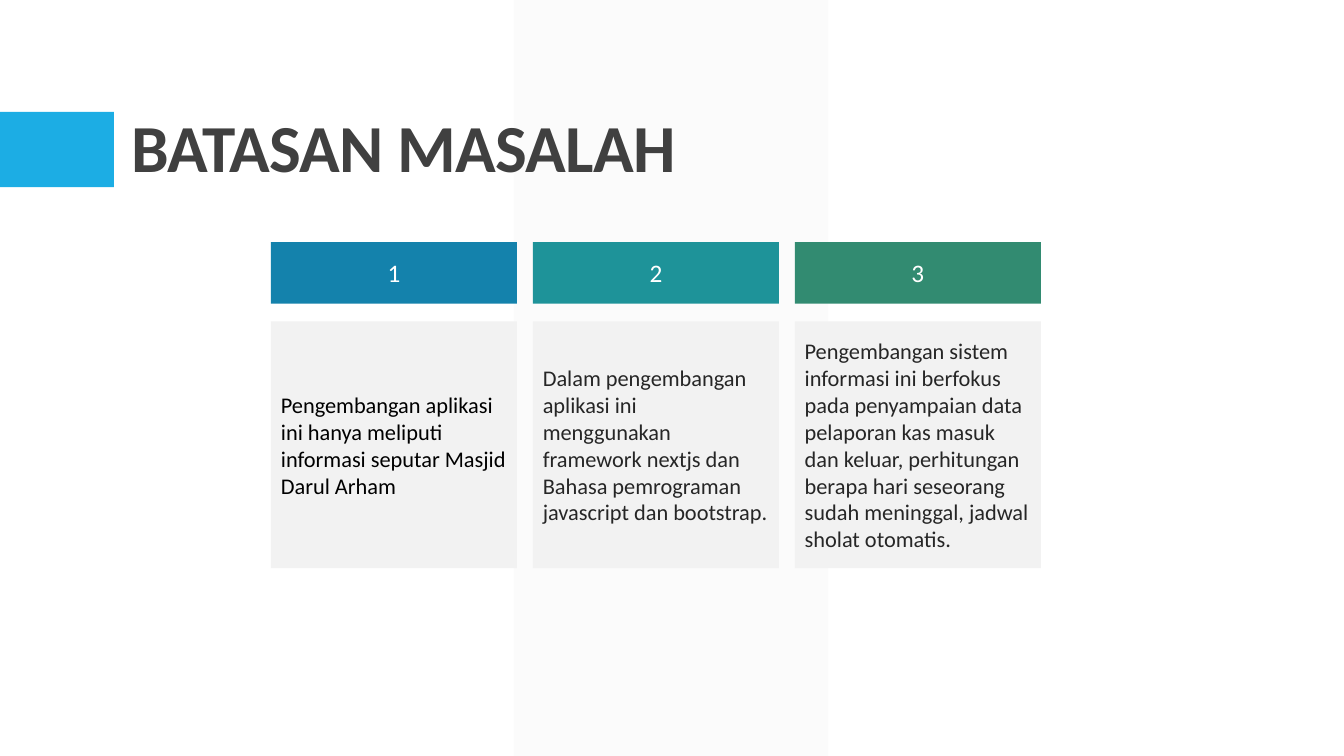
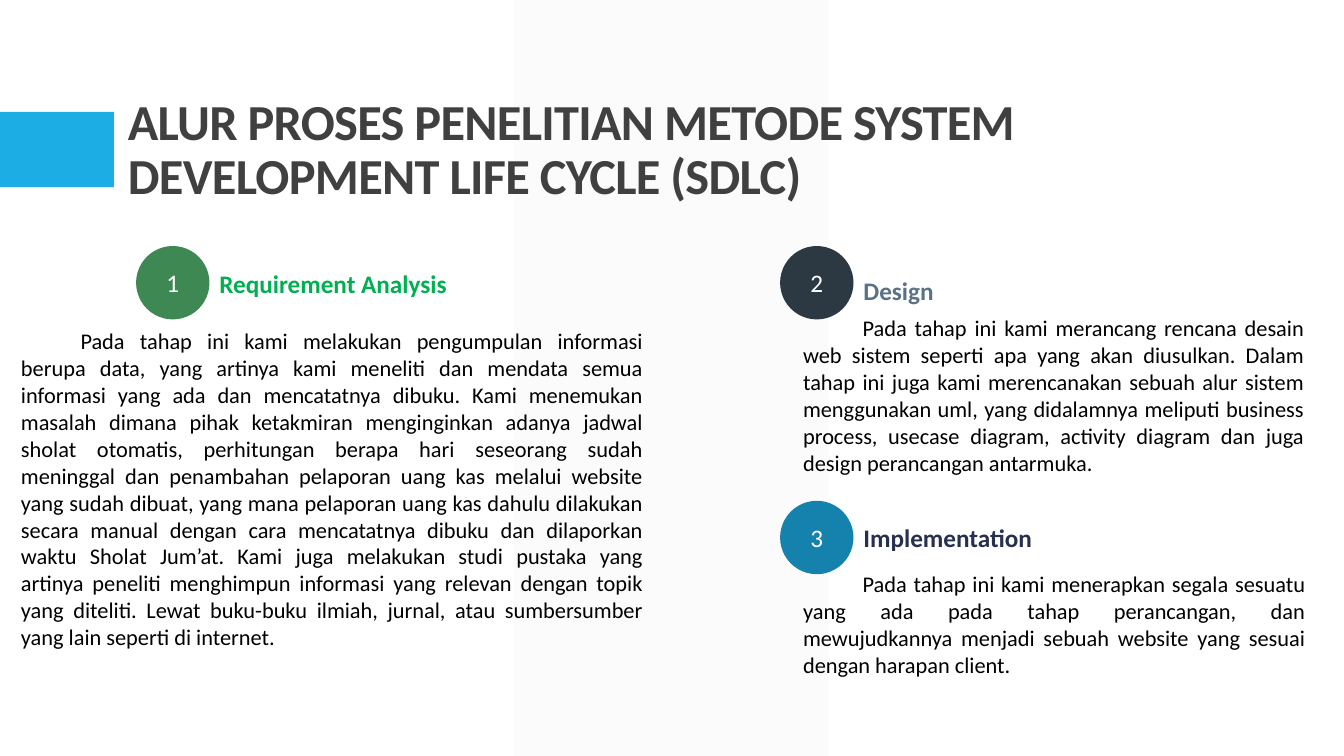
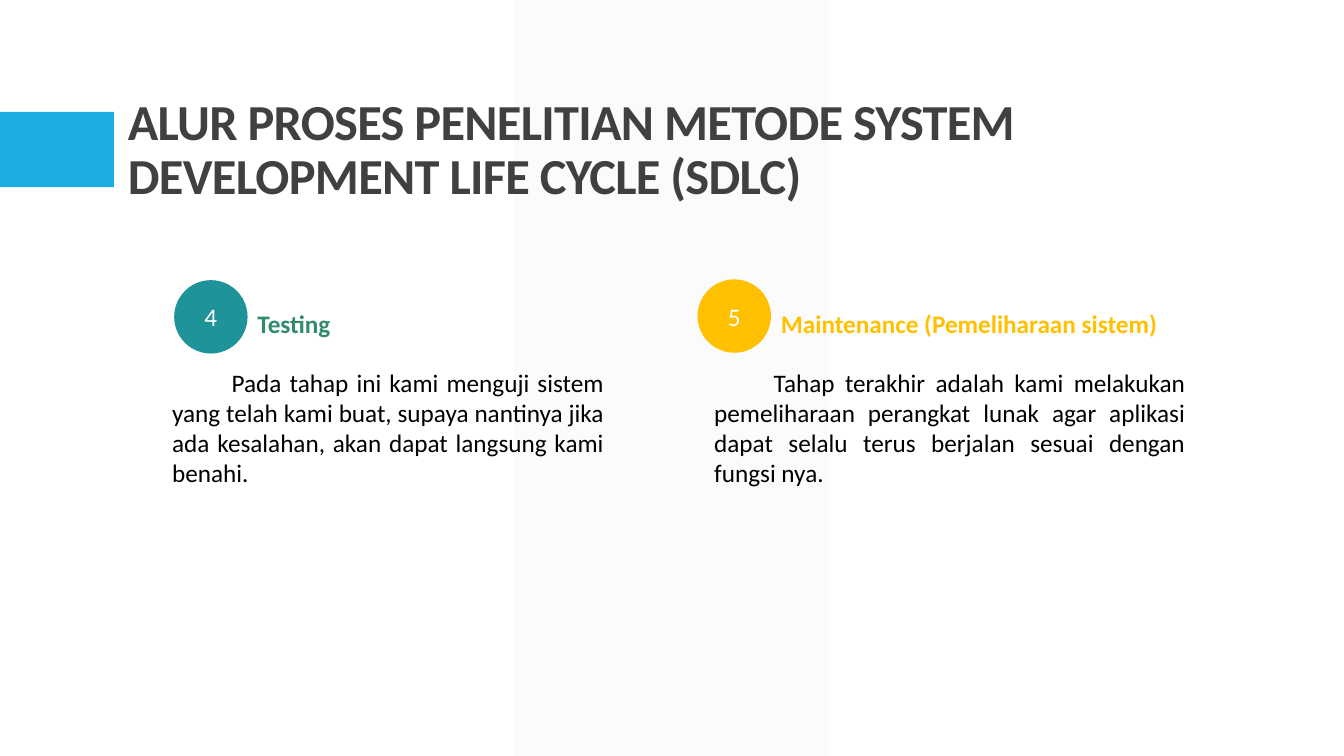
from dataclasses import dataclass

from lxml.etree import SubElement
from pptx import Presentation
from pptx.dml.color import RGBColor
from pptx.enum.shapes import MSO_SHAPE
from pptx.enum.text import MSO_ANCHOR, MSO_AUTO_SIZE, PP_ALIGN
from pptx.oxml.ns import qn
from pptx.util import Cm, Pt

COLORS = {
    "band": "F2F2F2",
    "accent": "1CADE4",
    "title": "404040",
    "white": "FFFFFF",
    "black": "000000",
    "charcoal": "262626",
    "blue": "1482AC",
    "teal": "1E9399",
    "jade": "328B71",
    "green": "3E8853",
    "bright_green": "00B050",
    "slate": "2C3943",
    "steel": "597287",
    "navy": "27304E",
    "amber": "FFC000",
}
FONT = "Calibri"
CIRCLE = 1.85
FIRST_LINE = 1.5
SDLC_TITLE = "ALUR PROSES PENELITIAN METODE SYSTEM DEVELOPMENT LIFE CYCLE (SDLC)"


@dataclass
class Stage:
    number: str
    heading: str
    text: str
    circle_color: str
    heading_color: str
    left: float
    top: float
    heading_drop: float
    body_shift: float
    body_drop: float
    body_width: float


LIMITS = [
    ("1", "blue", "black",
     "Pengembangan aplikasi ini hanya meliputi informasi seputar Masjid Darul Arham"),
    ("2", "teal", "charcoal",
     "Dalam pengembangan aplikasi ini menggunakan framework nextjs dan Bahasa "
     "pemrograman javascript dan bootstrap."),
    ("3", "jade", "charcoal",
     "Pengembangan sistem informasi ini berfokus pada penyampaian data pelaporan kas "
     "masuk dan keluar, perhitungan berapa hari seseorang sudah meninggal, jadwal "
     "sholat otomatis."),
]

EARLY_STAGES = [
    Stage("1", "Requirement Analysis",
          "Pada tahap ini kami melakukan pengumpulan informasi berupa data, yang artinya "
          "kami meneliti dan mendata semua informasi yang ada dan mencatatnya dibuku. Kami "
          "menemukan masalah dimana pihak ketakmiran menginginkan adanya jadwal sholat "
          "otomatis, perhitungan berapa hari seseorang sudah meninggal dan penambahan "
          "pelaporan uang kas melalui website yang sudah dibuat, yang mana pelaporan uang "
          "kas dahulu dilakukan secara manual dengan cara mencatatnya dibuku dan dilaporkan "
          "waktu Sholat Jum’at. Kami juga melakukan studi pustaka yang artinya peneliti "
          "menghimpun informasi yang relevan dengan topik yang diteliti. Lewat buku-buku "
          "ilmiah, jurnal, atau sumbersumber yang lain seperti di internet.",
          "green", "bright_green", 3.43, 6.2, 0.05, -3.15, 1.93, 16.18),
    Stage("2", "Design",
          "Pada tahap ini kami merancang rencana desain web sistem seperti apa yang akan "
          "diusulkan. Dalam tahap ini juga kami merencanakan sebuah alur sistem menggunakan "
          "uml, yang didalamnya meliputi business process, usecase diagram, activity diagram "
          "dan juga design perancangan antarmuka.",
          "slate", "steel", 19.66, 6.2, 0.23, 0.33, 1.6, 13.13),
    Stage("3", "Implementation",
          "Pada tahap ini kami menerapkan segala sesuatu yang ada pada tahap perancangan, "
          "dan mewujudkannya menjadi sebuah website yang sesuai dengan harapan client.",
          "blue", "navy", 19.66, 12.62, 0.03, 0.33, 1.63, 13.16),
]

LATE_STAGES = [
    Stage("4", "Testing",
          "Pada tahap ini kami menguji sistem yang telah kami buat, supaya nantinya jika "
          "ada kesalahan, akan dapat langsung kami benahi.",
          "teal", "jade", 4.39, 7.06, 0.2, -0.3, 2.06, 11.38),
    Stage("5", "Maintenance (Pemeliharaan sistem)",
          "Tahap terakhir adalah kami melakukan pemeliharaan perangkat lunak agar aplikasi "
          "dapat selalu terus berjalan sesuai dengan fungsi nya.",
          "amber", "amber", 17.58, 7.04, 0.23, 0.17, 2.08, 12.37),
]


def rgb(name):
    return RGBColor.from_string(COLORS[name])


def write(shape, text, size, color, bold=False, align=PP_ALIGN.LEFT, anchor=MSO_ANCHOR.TOP):
    frame = shape.text_frame
    frame.word_wrap = True
    frame.auto_size = MSO_AUTO_SIZE.NONE
    frame.vertical_anchor = anchor
    frame.text = text
    paragraph = frame.paragraphs[0]
    paragraph.alignment = align
    font = paragraph.font
    font.name, font.size, font.bold = FONT, Pt(size), bold
    font.color.rgb = rgb(color)
    return paragraph


def add_block(slide, kind, left, top, width, height, color):
    block = slide.shapes.add_shape(kind, Cm(left), Cm(top), Cm(width), Cm(height))
    block.shadow.inherit = False
    block.fill.solid()
    block.fill.fore_color.rgb = rgb(color)
    block.line.fill.background()
    return block


def add_text(slide, left, top, width, height, text, size, color, **style):
    box = slide.shapes.add_textbox(Cm(left), Cm(top), Cm(width), Cm(height))
    return box, write(box, text, size, color, **style)


def decorate_layout(layout, slide):
    band = add_block(slide, MSO_SHAPE.RECTANGLE, 12.95, 0, 7.92, 19.05, "band")
    for tint in band.element.spPr.iter(qn("a:srgbClr")):
        SubElement(tint, qn("a:alpha"), val="30000")
    accent = add_block(slide, MSO_SHAPE.RECTANGLE, 0, 2.82, 2.87, 1.9, "accent")
    for position, part in enumerate((band, accent), start=2):
        layout.shapes.element.insert(position, part.element)


def set_title(slide, text, size, left, top):
    title = slide.shapes.title
    title.left, title.top, title.width, title.height = Cm(left), Cm(top), Cm(27.94), Cm(4.04)
    paragraph = write(title, text, size, "title", bold=True, anchor=MSO_ANCHOR.BOTTOM)
    paragraph.line_spacing = 0.9
    for properties in title.element.iter(qn("a:defRPr")):
        properties.set("spc", "-50")


def add_limit(slide, left, top, width, number, color, text_color, text):
    header = add_block(slide, MSO_SHAPE.RECTANGLE, left, top, width, 1.55, color)
    write(header, number, 18, "white", align=PP_ALIGN.CENTER, anchor=MSO_ANCHOR.MIDDLE)
    card = add_block(slide, MSO_SHAPE.RECTANGLE, left, top + 2, width, 6.22, "band")
    write(card, text, 16, text_color, anchor=MSO_ANCHOR.MIDDLE)


def add_stage(slide, stage, size):
    circle = add_block(slide, MSO_SHAPE.OVAL, stage.left, stage.top, CIRCLE, CIRCLE,
                       stage.circle_color)
    write(circle, stage.number, 18, "white", align=PP_ALIGN.CENTER, anchor=MSO_ANCHOR.MIDDLE)
    _, heading = add_text(slide, stage.left + CIRCLE, stage.top + stage.heading_drop, 11, 1.3,
                          stage.heading, 18, stage.heading_color, bold=True)
    heading.line_spacing = 1.5
    body, _ = add_text(slide, stage.left + stage.body_shift, stage.top + stage.body_drop,
                       stage.body_width, 3.3, stage.text, size, "black",
                       align=PP_ALIGN.JUSTIFY)
    for properties in body.element.iter(qn("a:pPr")):
        properties.set("indent", str(Cm(FIRST_LINE)))


def build_limits(slide):
    set_title(slide, "BATASAN MASALAH", 48, 3.05, 0.79)
    for column, limit in enumerate(LIMITS):
        add_limit(slide, 6.83 + column * 6.6, 6.1, 6.2, *limit)


def build_stages(slide, stages, size):
    set_title(slide, SDLC_TITLE, 36, 2.97, 1.27)
    for stage in stages:
        add_stage(slide, stage, size)


def main():
    deck = Presentation()
    deck.slide_width, deck.slide_height = Cm(33.87), Cm(19.05)
    layout = deck.slide_layouts[5]
    limits, early, late = [deck.slides.add_slide(layout) for _ in range(3)]
    decorate_layout(layout, limits)
    build_limits(limits)
    build_stages(early, EARLY_STAGES, 16)
    build_stages(late, LATE_STAGES, 18)
    deck.save("out.pptx")


if __name__ == "__main__":
    main()
